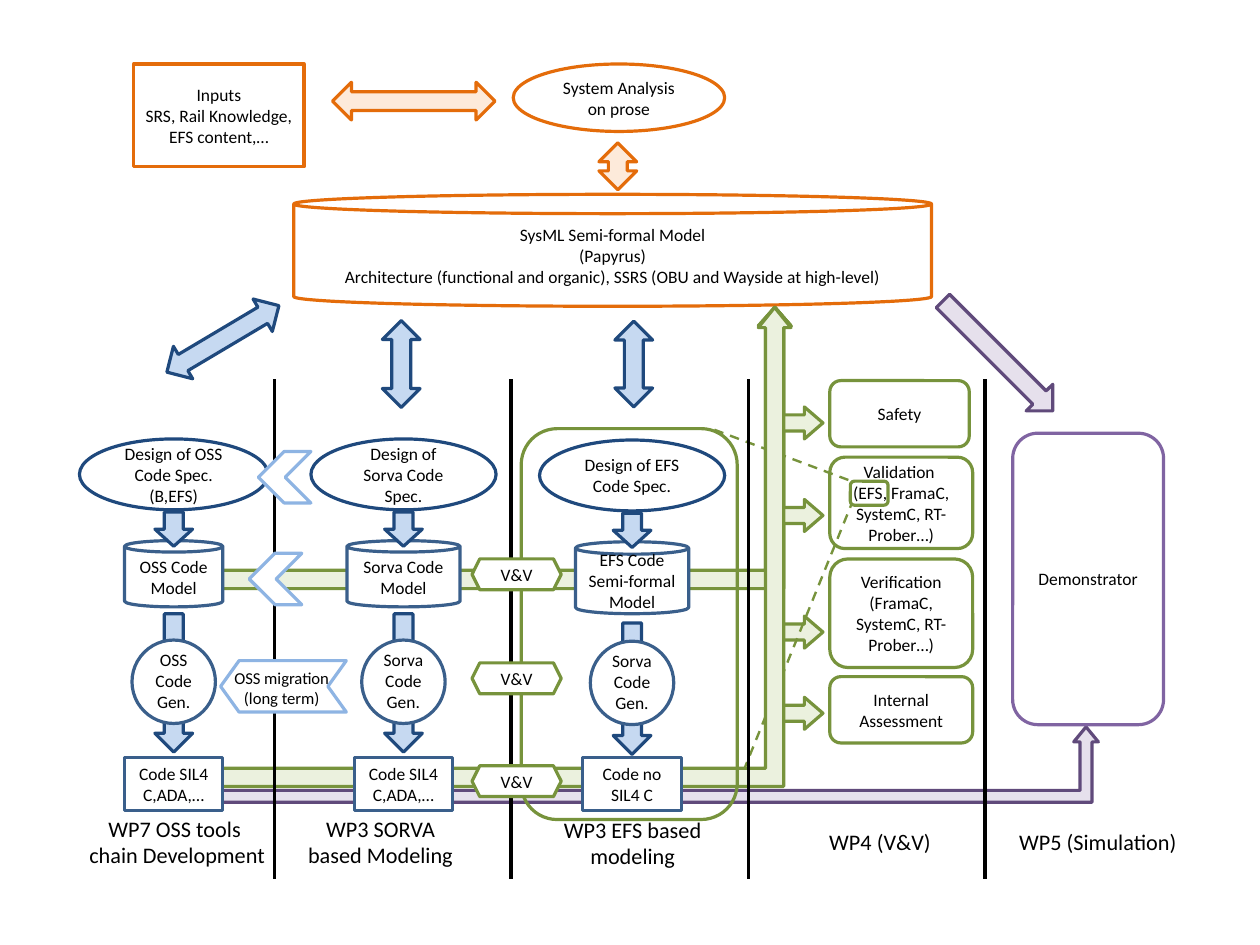
import lxml.etree
import pptx
import pptx.dml.color
import pptx.enum.dml
import pptx.enum.shapes
import pptx.enum.text
import pptx.oxml.ns
import pptx.util

Inches = pptx.util.Inches
Pt = pptx.util.Pt
MSO = pptx.enum.shapes.MSO_SHAPE
ALIGN = pptx.enum.text.PP_ALIGN
ANCHOR = pptx.enum.text.MSO_ANCHOR
AUTO = pptx.enum.text.MSO_AUTO_SIZE
DASH = pptx.enum.dml.MSO_LINE

COLORS = {
    "black": "000000", "white": "FFFFFF",
    "orange": "E46C0A", "peach": "FDEADA",
    "green": "77933C", "mint": "EBF1DE",
    "violet": "604A7B", "lilac": "E6E0EC", "purple": "8064A2",
    "navy": "1F497D", "steel": "3A5F8B", "sky": "C6D9F1", "light": "8EB4E3",
}
FONT = {"name": "Calibri", "bold": False}
CM_PER_INCH = 2.54


def rgb(name):
    return pptx.dml.color.RGBColor.from_string(COLORS[name])


def assign(target, values):
    for key, value in values.items():
        setattr(target, key, value)


def write(tf, text, size, **frame):
    tf.text = text
    assign(tf, {"word_wrap": True, **frame})
    for p in tf.paragraphs:
        p.alignment = ALIGN.CENTER
        assign(p.font, {**FONT, "size": Pt(size)})
        p.font.color.rgb = rgb("black")


def shape(s, kind, box, line, fill="white", text="", adj=(), rot=0):
    sp = s.shapes.add_shape(kind, *map(Inches, box))
    sp.shadow.inherit = False
    sp.rotation = rot
    for i, value in enumerate(adj):
        sp.adjustments[i] = value
    if fill:
        sp.fill.solid()
        sp.fill.fore_color.rgb = rgb(fill)
    else:
        sp.fill.background()
    sp.line.color.rgb = rgb(line)
    sp.line.width = Pt(2)
    if text:
        write(sp.text_frame, text, 11, vertical_anchor=ANCHOR.MIDDLE)


def label(s, box, text, size=14, wrap=True):
    sp = s.shapes.add_textbox(*map(Inches, box))
    write(sp.text_frame, text, size, word_wrap=wrap,
          auto_size=AUTO.SHAPE_TO_FIT_TEXT)


def line(s, start, end, color, width, dash=None):
    c = s.shapes.add_connector(pptx.enum.shapes.MSO_CONNECTOR.STRAIGHT,
                               *map(Inches, (*start, *end)))
    c.line.color.rgb = rgb(color)
    c.line.width = Pt(width)
    if dash:
        c.line.dash_style = dash
    lxml.etree.SubElement(c._element.spPr, pptx.oxml.ns.qn("a:effectLst"))


def down_arrow(s, cx, top, length):
    box = (cx - length / 2, top + length / 2 - 0.165, length, 0.33)
    shape(s, MSO.RIGHT_ARROW, box, "navy", "sky", rot=90)


def code_flow(s, cx, dy, design, model, generator, code,
              oval_w=1.62, model_w=0.99, model_h=0.58):
    shape(s, MSO.CAN, (cx - model_w / 2, 4.73 + dy, model_w, model_h), "steel",
          text=model, adj=[0.173])
    shape(s, MSO.OVAL, (cx - oval_w / 2, 3.84 + dy, oval_w, 0.62), "navy", text=design)
    down_arrow(s, cx, 5.37 + 8 * dy, 1.21 - 6 * dy)
    shape(s, MSO.OVAL, (cx - 0.365, 5.6 + dy, 0.73, 0.73), "steel")
    label(s, (cx - 0.365, 5.63 + dy, 0.73, 0.65), generator, 11)
    shape(s, MSO.RECTANGLE, (cx - 0.43, 6.63, 0.86, 0.46), "steel", text=code)
    down_arrow(s, cx, 4.48 + dy, 0.3)


def system_level(s):
    shape(s, MSO.CAN, (2.57, 1.7, 5.58, 0.98), "orange", adj=[0.173],
          text="SysML Semi-formal Model\n(Papyrus)\n"
               "Architecture (functional and organic), SSRS (OBU and Wayside at high-level)")
    shape(s, MSO.OVAL, (4.49, 0.56, 1.85, 0.59), "orange", text="System Analysis on prose")
    shape(s, MSO.RECTANGLE, (1.17, 0.56, 1.49, 0.9), "orange", None,
          "Inputs\nSRS, Rail Knowledge,\nEFS content,…")
    for box, rot, edge, fill in [
        ((2.91, 0.72, 1.42, 0.33), 0, "orange", "peach"),
        ((5.2, 1.29, 0.41, 0.33), 90, "orange", "peach"),
        ((1.38, 2.8, 1.14, 0.33), 149.3, "navy", "sky"),
        ((3.13, 3.02, 0.76, 0.33), 90, "navy", "sky"),
        ((5.17, 3.02, 0.75, 0.33), 90, "navy", "sky"),
    ]:
        shape(s, MSO.LEFT_RIGHT_ARROW, box, edge, fill, rot=rot)


def verification(s):
    for top, width, height, text in [
        (3.33, 1.22, 0.58, "Safety"),
        (4, 1.25, 0.8, "Validation \n(EFS, FramaC, SystemC, RT-Prober…)"),
        (4.89, 1.25, 0.95, "Verification\n(FramaC, SystemC, RT-Prober…)"),
        (5.92, 1.25, 0.58, "Internal\vAssessment"),
    ]:
        shape(s, MSO.ROUNDED_RECTANGLE, (7.26, top, width, height), "green", text=text)
    for length in (1.15, 1.96, 2.98, 3.69):
        box = (6.92 - length / 2, 2.41 + length / 2, length, 0.56)
        shape(s, MSO.LEFT_UP_ARROW, box, "green", "mint", adj=[0.25, 0.25, 0.291], rot=90)
    shape(s, MSO.ROUNDED_RECTANGLE, (7.44, 4.21, 0.33, 0.21), "green", None)
    line(s, (6.25, 3.76), (7.45, 4.21), "green", 1.5, DASH.DASH)
    line(s, (6.45, 6.88), (7.45, 4.41), "green", 1.5, DASH.DASH)


def oss_migration(s):
    for box, adj in [((2.26, 3.95, 0.46, 0.45), 0.5),
                     ((2.18, 4.84, 0.46, 0.45), 0.5),
                     ((1.93, 5.78, 1.1, 0.45), 0.359)]:
        shape(s, MSO.CHEVRON, box, "light", adj=[adj], rot=180)
    label(s, (1.95, 5.79, 1.03, 0.45), "OSS migration\n(long term)", 10.5, False)


def main():
    prs = pptx.Presentation()
    prs.slide_width = Inches(28 / CM_PER_INCH)
    prs.slide_height = Inches(21 / CM_PER_INCH)
    s = prs.slides.add_slide(prs.slide_layouts[6])

    shape(s, MSO.BENT_UP_ARROW, (1.85, 2.69, 5.07, 2.46), "green", "mint",
          adj=[0.065, 0.058, 0.065])
    shape(s, MSO.BENT_UP_ARROW, (1.85, 6.36, 7.76, 0.66), "violet", "lilac",
          adj=[0.158, 0.163, 0.199])
    system_level(s)
    shape(s, MSO.ROUNDED_RECTANGLE, (8.86, 3.79, 1.32, 2.55), "purple", text="Demonstrator")
    shape(s, MSO.RIGHT_ARROW, (8.05, 2.95, 1.36, 0.33), "violet", "lilac", rot=45)
    verification(s)
    shape(s, MSO.BENT_UP_ARROW, (1.85, 2.69, 5.07, 4.19), "green", "mint",
          adj=[0.038, 0.034, 0.042])
    shape(s, MSO.ROUNDED_RECTANGLE, (4.56, 3.75, 1.89, 3.42), "green", None)

    code_flow(s, 1.52, 0, "Design of OSS Code Spec. (B,EFS)", "OSS Code\nModel",
              "OSS\nCode\nGen.", "Code SIL4\nC,ADA,…", oval_w=1.65, model_w=0.86)
    code_flow(s, 3.53, 0, "Design of Sorva Code Spec.", "Sorva Code\nModel",
              "Sorva\nCode\nGen.", "Code SIL4\nC,ADA,…")
    code_flow(s, 5.53, 0.01, "Design of EFS Code Spec.", "EFS Code\nSemi-formal Model",
              "Sorva\nCode\nGen.", "Code no SIL4 C", model_h=0.63)

    for box, text in [
        ((0.59, 7.08, 1.92, 0.57), "WP7 OSS tools \nchain Development"),
        ((2.55, 7.08, 1.56, 0.57), "WP3 SORVA based Modeling"),
        ((4.61, 7.09, 1.85, 0.57), "WP3 EFS based modeling"),
        ((7.13, 7.2, 1.14, 0.33), "WP4 (V&V)"),
        ((8.78, 7.2, 1.65, 0.33), "WP5 (Simulation)"),
    ]:
        label(s, box, text)
    for x in (2.4, 4.47, 6.55, 8.62):
        line(s, (x, 3.32), (x, 7.69), "black", 2.25)
    oss_migration(s)
    for top in (4.89, 5.8, 6.7):
        shape(s, MSO.HEXAGON, (4.13, top, 0.78, 0.27), "green", text="V&V", adj=[0.25])
    prs.save("out.pptx")


if __name__ == "__main__":
    main()
